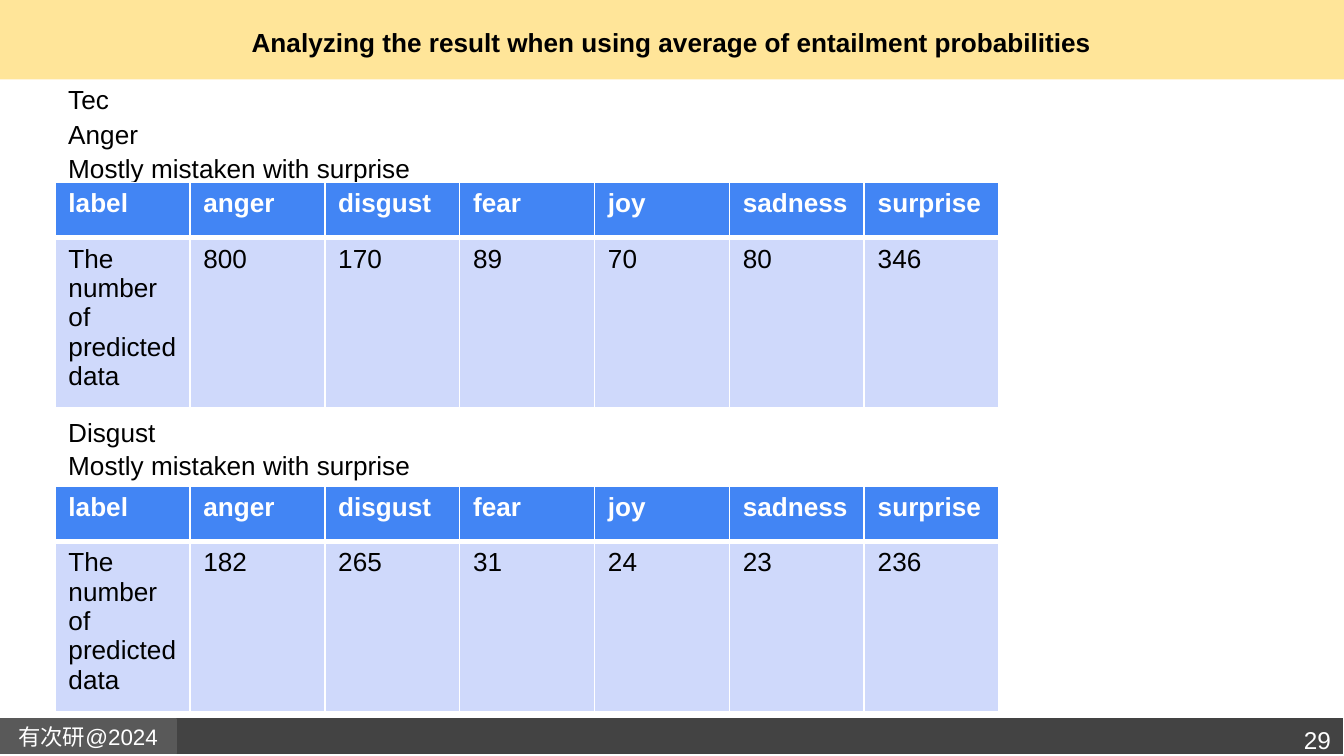
from dataclasses import dataclass

import pptx
import pptx.dml.color
import pptx.enum.shapes
import pptx.enum.text
import pptx.oxml
import pptx.oxml.ns
import pptx.util

Cm = pptx.util.Cm
Pt = pptx.util.Pt
ALIGN = pptx.enum.text.PP_ALIGN
ANCHOR = pptx.enum.text.MSO_ANCHOR

COLORS = {
    "band": "FFE599", "footer": "434343", "tag": "595959", "header": "4285F4",
    "body": "CFD9FB", "white": "FFFFFF", "black": "000000",
}
LABELS = ["label", "anger", "disgust", "fear", "joy", "sadness", "surprise"]
LEFT = 1.04
COLUMN_WIDTH = 2.55
ROW_HEIGHTS = (1.04, 3.2)


@dataclass
class Bar:
    top: float
    width: float
    height: float
    fill: str
    line: str | None = None


@dataclass
class Section:
    emotion: str
    text_top: float
    text_width: float
    text_height: float
    table_top: float
    counts: list[int]


BARS = [
    Bar(0, 25.4, 1.5, "band"),
    Bar(13.56, 25.4, 0.71, "footer", "white"),
    Bar(13.59, 3.33, 0.66, "tag", "tag"),
]
SECTIONS = [
    Section("Anger", 2.08, 9.25, 1.45, 3.45, [800, 170, 89, 70, 80, 346]),
    Section("Disgust", 7.7, 7.75, 2.64, 9.19, [182, 265, 31, 24, 23, 236]),
]


def rgb(name: str) -> pptx.dml.color.RGBColor:
    return pptx.dml.color.RGBColor.from_string(COLORS[name])


def write(frame, *lines: str, size=14, color="black", bold=False, align=ALIGN.LEFT,
          anchor=ANCHOR.TOP, inset=None, spacing=None) -> None:
    frame.word_wrap = True
    frame.vertical_anchor = anchor
    if inset is not None:
        frame.margin_left = frame.margin_right = Cm(inset)
        frame.margin_top = frame.margin_bottom = Cm(inset)
    for index, line in enumerate(lines):
        para = frame.add_paragraph() if index else frame.paragraphs[0]
        para.alignment = align
        if spacing:
            para.line_spacing = spacing
        span = para.add_run()
        span.text = line
        span.font.name = "Arial"
        span.font.size = Pt(size)
        span.font.bold = bold
        span.font.color.rgb = rgb(color)


def add_text(page, left: float, top: float, width: float, height: float, *lines: str, **style) -> None:
    box = page.shapes.add_textbox(Cm(left), Cm(top), Cm(width), Cm(height))
    write(box.text_frame, *lines, **style)


def add_bar(page, bar: Bar):
    shape = page.shapes.add_shape(
        pptx.enum.shapes.MSO_SHAPE.RECTANGLE, 0, Cm(bar.top), Cm(bar.width), Cm(bar.height))
    shape.shadow.inherit = False
    shape.fill.solid()
    shape.fill.fore_color.rgb = rgb(bar.fill)
    if bar.line:
        shape.line.color.rgb = rgb(bar.line)
        shape.line.width = Pt(0.75)
    else:
        shape.line.fill.background()
    return shape


def set_borders(cell, top: float, bottom: float) -> None:
    properties = cell._tc.get_or_add_tcPr()
    for side, width in (("L", 1), ("R", 1), ("T", top), ("B", bottom)):
        properties.append(pptx.oxml.parse_xml(
            f'<a:ln{side} {pptx.oxml.ns.nsdecls("a")} w="{Pt(width)}"><a:solidFill>'
            f'<a:srgbClr val="{COLORS["white"]}"/></a:solidFill></a:ln{side}>'))


def add_counts(page, section: Section) -> None:
    rows = [LABELS, ["The number of predicted data", *map(str, section.counts)]]
    table = page.shapes.add_table(
        len(rows), len(LABELS), Cm(LEFT), Cm(section.table_top),
        Cm(COLUMN_WIDTH * len(LABELS)), Cm(sum(ROW_HEIGHTS))).table
    for column in table.columns:
        column.width = Cm(COLUMN_WIDTH)
    for row_index, values in enumerate(rows):
        header = row_index == 0
        table.rows[row_index].height = Cm(ROW_HEIGHTS[row_index])
        for column_index, value in enumerate(values):
            cell = table.cell(row_index, column_index)
            set_borders(cell, top=1 if header else 3, bottom=3 if header else 1)
            cell.fill.solid()
            cell.fill.fore_color.rgb = rgb("header" if header else "body")
            write(cell.text_frame, value, bold=header, color="white" if header else "black")


def main() -> None:
    deck = pptx.Presentation()
    deck.slide_width, deck.slide_height = Cm(25.4), Cm(14.29)
    page = deck.slides.add_slide(deck.slide_layouts[5])

    tag = [add_bar(page, bar) for bar in BARS][-1]
    write(tag.text_frame, "有次研@2024", size=12, color="white", align=ALIGN.CENTER,
          anchor=ANCHOR.MIDDLE, inset=0.25)

    title = page.shapes.title
    title.left, title.top, title.width, title.height = Cm(0.86), Cm(0), Cm(23.67), Cm(1.6)
    write(title.text_frame, "Analyzing the result when using average of entailment probabilities",
          bold=True, align=ALIGN.CENTER, anchor=ANCHOR.MIDDLE, inset=0.25)
    page.shapes._spTree.append(title._element)

    add_text(page, 22.73, 13.46, 2.67, 0.94, "29", size=13, color="white",
             align=ALIGN.RIGHT, inset=0.25)
    add_text(page, LEFT, 1.45, 6.17, 0.86, "Tec")
    for section in SECTIONS:
        add_text(page, LEFT, section.text_top, section.text_width, section.text_height,
                 section.emotion, "Mostly mistaken with surprise", spacing=1.07)
        add_counts(page, section)

    deck.save("out.pptx")


if __name__ == "__main__":
    main()
